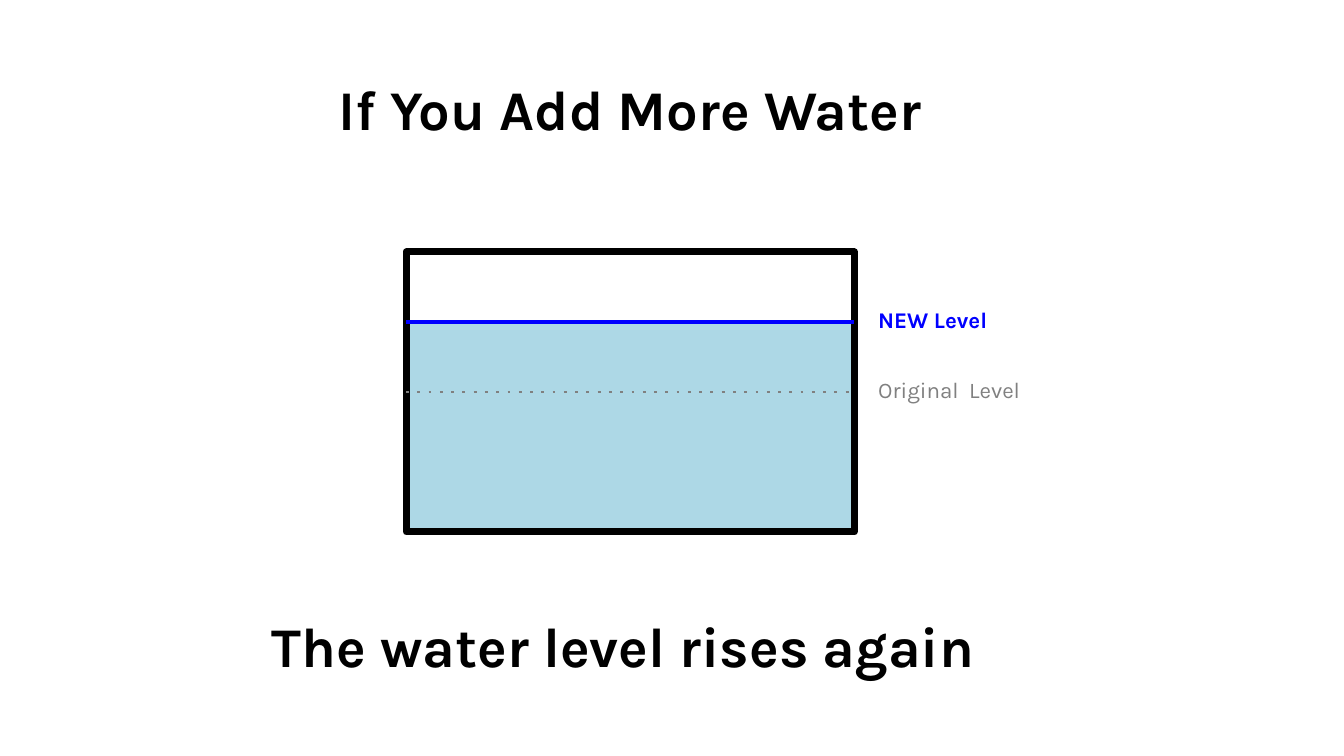
from dataclasses import dataclass

from lxml.etree import SubElement
from pptx import Presentation
from pptx.dml.color import RGBColor as Rgb
from pptx.enum.shapes import MSO_CONNECTOR as Link, MSO_SHAPE as Form
from pptx.enum.text import MSO_AUTO_SIZE as Fit, PP_ALIGN as Align
from pptx.oxml.ns import qn
from pptx.util import Inches, Pt

COLS, ROWS = 19.2, 10.8  # grid units across and down the slide


@dataclass(frozen=True)
class Theme:
    font: str = "Karla"
    ink: str = "000000"
    water: str = "ADD8E6"
    fresh: str = "0000FF"
    faded: str = "808080"
    head: int = 40
    label: int = 16


class Board:
    def __init__(self, deck, theme):
        self.theme = theme
        self.unit = deck.slide_height / ROWS
        self.shapes = deck.slides.add_slide(deck.slide_layouts[6]).shapes

    def grid(self, *units):
        return [round(u * self.unit) for u in units]

    def box(self, x, y, w, h, fill=None, edge=None, weight=0):
        box = self.shapes.add_shape(Form.RECTANGLE, *self.grid(x, y, w, h))
        box.shadow.inherit = False
        if fill:
            box.fill.solid()
            box.fill.fore_color.rgb = Rgb.from_string(fill)
        else:
            box.fill.background()
        if edge:
            box.line.color.rgb = Rgb.from_string(edge)
            box.line.width = Pt(weight)
        else:
            box.line.fill.background()
        return box

    def level(self, x, y, w, color, weight, dots=False):
        """Draw a level line across the tank."""
        line = self.shapes.add_connector(Link.STRAIGHT, *self.grid(x, y, x + w, y))
        line.line.color.rgb = Rgb.from_string(color)
        line.line.width = Pt(weight)
        props = line._element.spPr
        if dots:
            SubElement(props.find(qn("a:ln")), qn("a:prstDash"), val="dot")
        SubElement(props, qn("a:effectLst"))
        return line

    def text(self, words, x, y, w, h, size, color, bold=True, align=Align.LEFT):
        frame = self.shapes.add_textbox(*self.grid(x, y, w, h)).text_frame
        frame.word_wrap = True
        frame.auto_size = Fit.SHAPE_TO_FIT_TEXT
        para = frame.paragraphs[0]
        para.alignment = align
        run = para.add_run()
        run.text = words
        run.font.name = self.theme.font
        run.font.size = Pt(size)
        run.font.bold = bold
        run.font.color.rgb = Rgb.from_string(color)

    def head(self, words, y):
        look = self.theme
        self.text(words, 2.8, y, 12.4, 1.11, look.head, look.ink, align=Align.CENTER)

    def label(self, words, y, w, color, bold):
        """Set a label beside the tank, centred on the level at y."""
        self.text(words, 12.4, y - 0.3, w, 0.53, self.theme.label, color, bold)


def main():
    deck = Presentation()
    deck.slide_width, deck.slide_height = Inches(13.33), Inches(7.5)
    look = Theme()
    board = Board(deck, look)

    left, top, wide, tall = 5.8, 3.6, 6.4, 4
    new, old = top + tall / 4, top + tall / 2

    board.box(left, new, wide, 3, fill=look.water)
    board.head("If You Add More Water", 1)
    tank = board.box(left, top, wide, tall, edge=look.ink, weight=5)
    board.level(left, new, wide, look.fresh, 3)
    line = board.level(left, old, wide, look.faded, 2, dots=True)
    line.begin_connect(tank, 1)
    line.end_connect(tank, 3)
    board.label("NEW Level", new, 2, look.fresh, True)
    board.label("Original  Level", old, 2.46, look.faded, False)
    board.head("The water level rises again ", 8.67)

    deck.save("out.pptx")


if __name__ == "__main__":
    main()
